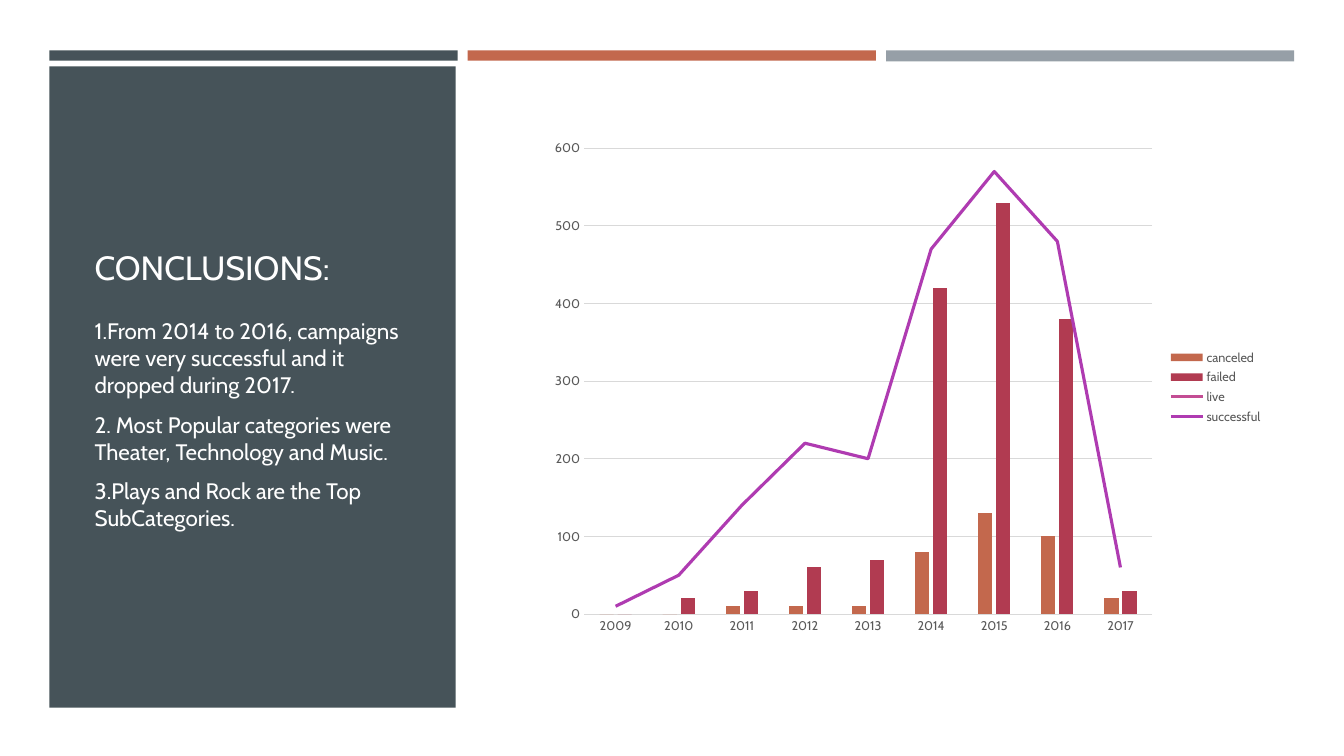
from pptx import Presentation
from pptx.chart.data import CategoryChartData
from pptx.dml.color import RGBColor
from pptx.enum.chart import XL_CHART_TYPE, XL_LEGEND_POSITION, XL_MARKER_STYLE, XL_TICK_MARK
from pptx.enum.shapes import MSO_SHAPE
from pptx.enum.text import MSO_ANCHOR
from pptx.oxml import parse_xml
from pptx.oxml.ns import nsdecls, qn
from pptx.util import Pt

RECT = MSO_SHAPE.RECTANGLE
COLUMN = XL_CHART_TYPE.COLUMN_CLUSTERED
RIGHT = XL_LEGEND_POSITION.RIGHT
NO_MARKER = XL_MARKER_STYLE.NONE
NO_TICK = XL_TICK_MARK.NONE
TOP, BOTTOM = MSO_ANCHOR.TOP, MSO_ANCHOR.BOTTOM

THEME = {
    "font": "Cabin",
    "title": 24, "body": 16, "chart": 9,
    "slate": "465359", "rust": "C3684D", "steel": "969FA7",
    "white": "FFFFFF", "label": "595959", "grid": "D9D9D9",
    "series": ["C3684D", "B13B51", "C34D94", "AF3BB1"],
}


def rgb(value):
    return RGBColor.from_string(value)


def add_text(s, box, paragraphs, size, anchor, spacing):
    tf = s.shapes.add_textbox(*map(Pt, box)).text_frame
    tf.word_wrap = True
    tf.vertical_anchor = anchor
    for i, text in enumerate(paragraphs):
        p = tf.paragraphs[0] if i == 0 else tf.add_paragraph()
        for name, value in spacing.items():
            setattr(p, name, value)
        r = p.add_run()
        r.text = text
        r.font.name, r.font.size = THEME["font"], Pt(size)
        r.font.color.rgb = rgb(THEME["white"])


prs = Presentation()
prs.slide_width, prs.slide_height = Pt(960), Pt(540)
s = prs.slides.add_slide(prs.slide_layouts[6])

# Three top bars and the side panel
LEFT, STEP = 35.3, 298.8
blocks = [(LEFT + i * STEP, 36, 291.6, height, color)
          for i, (height, color) in enumerate([(7.4, "slate"), (7.4, "rust"), (7.9, "steel")])]
blocks.append((LEFT, 47.5, 290.2, 457.9, "slate"))
for *box, color in blocks:
    sp = s.shapes.add_shape(RECT, *map(Pt, box))
    sp.shadow.inherit = False
    sp.fill.solid()
    sp.fill.fore_color.rgb = rgb(THEME[color])
    sp.line.fill.background()

# Panel text
add_text(s, (60.5, 73.4, 239, 135.4), ["CONCLUSIONS:"], THEME["title"], BOTTOM,
         {"line_spacing": 0.9})
add_text(s, (60.5, 223.2, 239, 236.2), [
    "1.From 2014 to 2016, campaigns were very successful and it dropped during 2017.",
    "2. Most Popular categories were Theater, Technology and Music.",
    "3.Plays and Rock are the Top SubCategories.",
], THEME["body"], TOP, {"space_before": Pt(3.2), "space_after": Pt(6)})

# Campaign outcomes by year
data = CategoryChartData()
data.categories = [str(year) for year in range(2009, 2018)]
data.add_series("canceled", [0, 0, 10, 10, 10, 80, 130, 100, 20])
data.add_series("failed", [0, 20, 30, 60, 70, 420, 530, 380, 30])
data.add_series("live", [None] * 8 + [50])
data.add_series("successful", [10, 50, 140, 220, 200, 470, 570, 480, 60])
chart = s.shapes.add_chart(COLUMN, *map(Pt, (385.9, 92.9, 523.4, 367.2)), data).chart
chart.has_title = False
chart.font.name, chart.font.size = THEME["font"], Pt(THEME["chart"])
chart.font.color.rgb = rgb(THEME["label"])
chart.has_legend = True
chart.legend.position = RIGHT
chart.legend.include_in_layout = False

columns = chart.plots[0]
for name, value in {"gap_width": 219, "overlap": -27, "vary_by_categories": False}.items():
    setattr(columns, name, value)

# Move the last two series into a line plot on the same axes
bar = chart.element.find(".//" + qn("c:barChart"))
axis_ids = "".join(f'<c:axId val="{a.get("val")}"/>' for a in bar.findall(qn("c:axId")))
line_plot = parse_xml(
    f'<c:lineChart {nsdecls("c")}><c:grouping val="standard"/><c:varyColors val="0"/>'
    f'<c:marker val="1"/>{axis_ids}</c:lineChart>')
bar.addnext(line_plot)
plot_marker = line_plot.find(qn("c:marker"))
for ser in bar.findall(qn("c:ser"))[2:]:
    for flag in ser.findall(qn("c:invertIfNegative")):
        ser.remove(flag)
    plot_marker.addprevious(ser)

# Series colours
column_series, line_series = (list(plot.series) for plot in chart.plots)
for series, color in zip(column_series, THEME["series"]):
    series.format.fill.solid()
    series.format.fill.fore_color.rgb = rgb(color)
for series, color in zip(line_series, THEME["series"][2:]):
    series.smooth = False
    series.marker.style = NO_MARKER
    series.format.line.width = Pt(2.25)
    series.format.line.color.rgb = rgb(color)

# Axes and gridlines
years, counts = chart.category_axis, chart.value_axis
for axis in (years, counts):
    axis.major_tick_mark = axis.minor_tick_mark = NO_TICK
for name, value in {"minimum_scale": 0, "maximum_scale": 600, "major_unit": 100}.items():
    setattr(counts, name, value)
counts.format.line.fill.background()
for line in (years.format.line, counts.major_gridlines.format.line):
    line.width = Pt(0.75)
    line.color.rgb = rgb(THEME["grid"])

prs.save("out.pptx")
